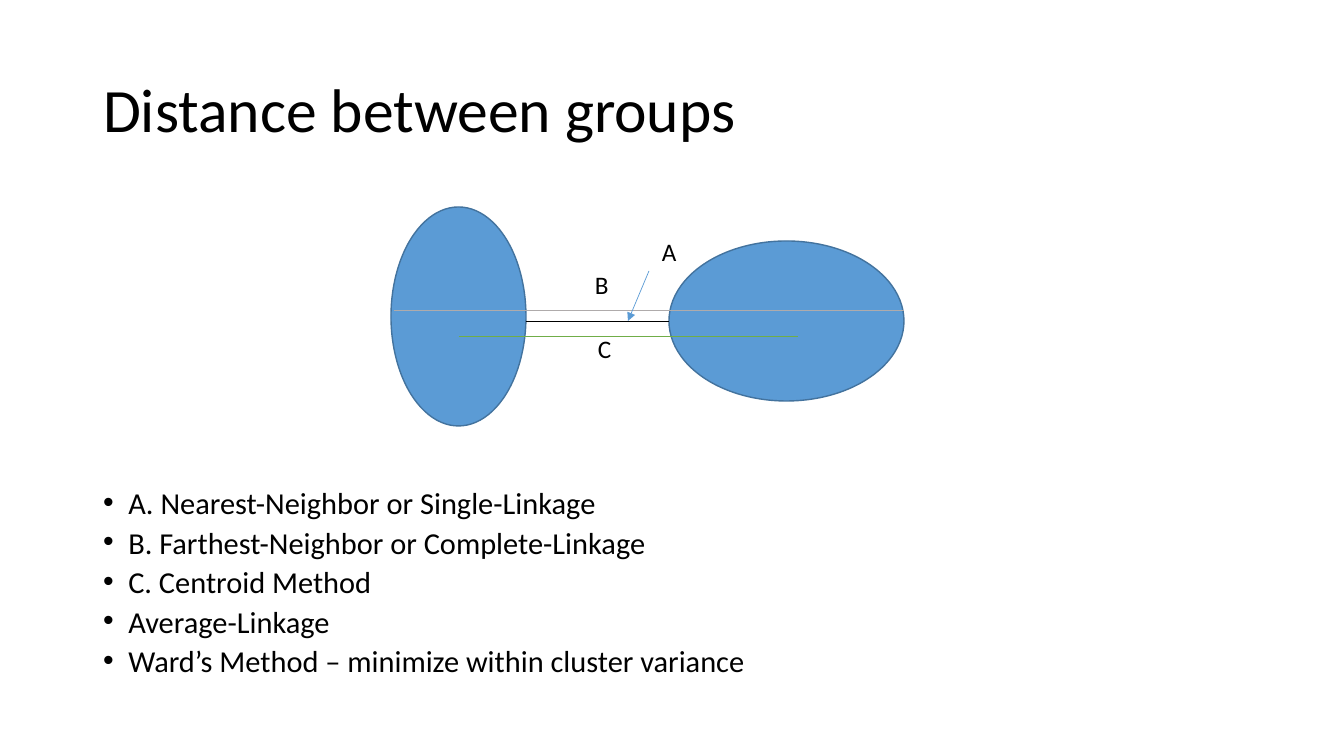
from dataclasses import dataclass

from lxml.etree import SubElement
from pptx import Presentation
from pptx.dml.color import RGBColor
from pptx.enum.shapes import MSO_CONNECTOR, MSO_SHAPE
from pptx.enum.text import MSO_ANCHOR, MSO_AUTO_SIZE, PP_ALIGN
from pptx.oxml.ns import qn
from pptx.util import Pt

EMU_PER_PX = 12192000 / 1344


@dataclass(frozen=True)
class Theme:
    font: str = "Calibri"
    text: str = "000000"
    group_fill: str = "5B9BD5"
    group_edge: str = "43739E"
    nearest: str = "000000"
    farthest: str = "AFABAB"
    centroid: str = "70AD47"
    pointer: str = "5B9BD5"
    title_size: float = 44
    list_size: float = 21.7
    label_size: float = 18
    edge_width: float = 1
    line_width: float = 0.5


def px(*lengths):
    return [round(length * EMU_PER_PX) for length in lengths]


def write(paragraph, text, *, size, color, font, align=PP_ALIGN.LEFT,
          spacing=None, before=None):
    paragraph.alignment = align
    paragraph.line_spacing = spacing
    paragraph.space_before = before
    run = paragraph.add_run()
    run.text = text
    run.font.size = Pt(size)
    run.font.name = font
    run.font.color.rgb = RGBColor.from_string(color)


class SlideBuilder:
    def __init__(self, slide, theme):
        self.slide = slide
        self.theme = theme
        self.base = {"color": theme.text, "font": theme.font}

    def place(self, placeholder, box, anchor):
        (placeholder.left, placeholder.top,
         placeholder.width, placeholder.height) = px(*box)
        frame = placeholder.text_frame
        frame.word_wrap = True
        frame.auto_size = MSO_AUTO_SIZE.NONE
        frame.vertical_anchor = anchor
        return frame

    def title(self, text, box):
        frame = self.place(self.slide.shapes.title, box, MSO_ANCHOR.MIDDLE)
        write(frame.paragraphs[0], text, size=self.theme.title_size,
              spacing=0.9, **self.base)

    def bullets(self, items, box):
        frame = self.place(self.slide.placeholders[1], box, MSO_ANCHOR.BOTTOM)
        for index, item in enumerate(items):
            paragraph = frame.add_paragraph() if index else frame.paragraphs[0]
            write(paragraph, item, size=self.theme.list_size, spacing=0.7,
                  before=Pt(10), **self.base)
            properties = paragraph._p.get_or_add_pPr()
            properties.set("marL", "228600")
            properties.set("indent", "-228600")
            SubElement(properties, qn("a:buFont"), typeface="Arial")
            SubElement(properties, qn("a:buChar"), char="•")

    def group(self, box):
        ellipse = self.slide.shapes.add_shape(MSO_SHAPE.OVAL, *px(*box))
        ellipse.shadow.inherit = False
        ellipse.fill.solid()
        ellipse.fill.fore_color.rgb = RGBColor.from_string(self.theme.group_fill)
        ellipse.line.color.rgb = RGBColor.from_string(self.theme.group_edge)
        ellipse.line.width = Pt(self.theme.edge_width)

    def line(self, ends, color, arrow=False):
        connector = self.slide.shapes.add_connector(
            MSO_CONNECTOR.STRAIGHT, *px(*ends))
        connector.line.color.rgb = RGBColor.from_string(color)
        connector.line.width = Pt(self.theme.line_width)
        if arrow:
            SubElement(connector.line._get_or_add_ln(), qn("a:tailEnd"),
                       type="triangle")
        SubElement(connector._element.spPr, qn("a:effectLst"))

    def label(self, text, left, top):
        box = self.slide.shapes.add_textbox(*px(left, top, 35, 40))
        box.text_frame.word_wrap = False
        box.text_frame.auto_size = MSO_AUTO_SIZE.SHAPE_TO_FIT_TEXT
        write(box.text_frame.paragraphs[0], text,
              size=self.theme.label_size, **self.base)


def main():
    presentation = Presentation()
    presentation.slide_width, presentation.slide_height = px(1344, 756)
    slide = presentation.slides.add_slide(presentation.slide_layouts[1])
    theme = Theme()
    builder = SlideBuilder(slide, theme)

    # Title and linkage methods
    builder.title("Distance between groups", (93, 40, 1159, 146))
    builder.bullets([
        "A. Nearest-Neighbor or Single-Linkage",
        "B. Farthest-Neighbor or Complete-Linkage",
        "C. Centroid Method",
        "Average-Linkage",
        "Ward’s Method – minimize within cluster variance",
    ], (93, 470, 1159, 213))

    # The two groups
    builder.group((391, 207, 135, 219))
    builder.group((669, 241, 235, 160))

    # Distances measured between them
    builder.line((526, 321, 669, 321), theme.nearest)
    builder.label("C", 588, 328)
    builder.line((394, 310, 904, 310), theme.farthest)
    builder.label("B", 585, 264)
    builder.line((459, 336, 798, 336), theme.centroid)
    builder.label("A", 652, 231)
    builder.line((649, 271, 628, 321), theme.pointer, arrow=True)

    presentation.save("out.pptx")


if __name__ == "__main__":
    main()
